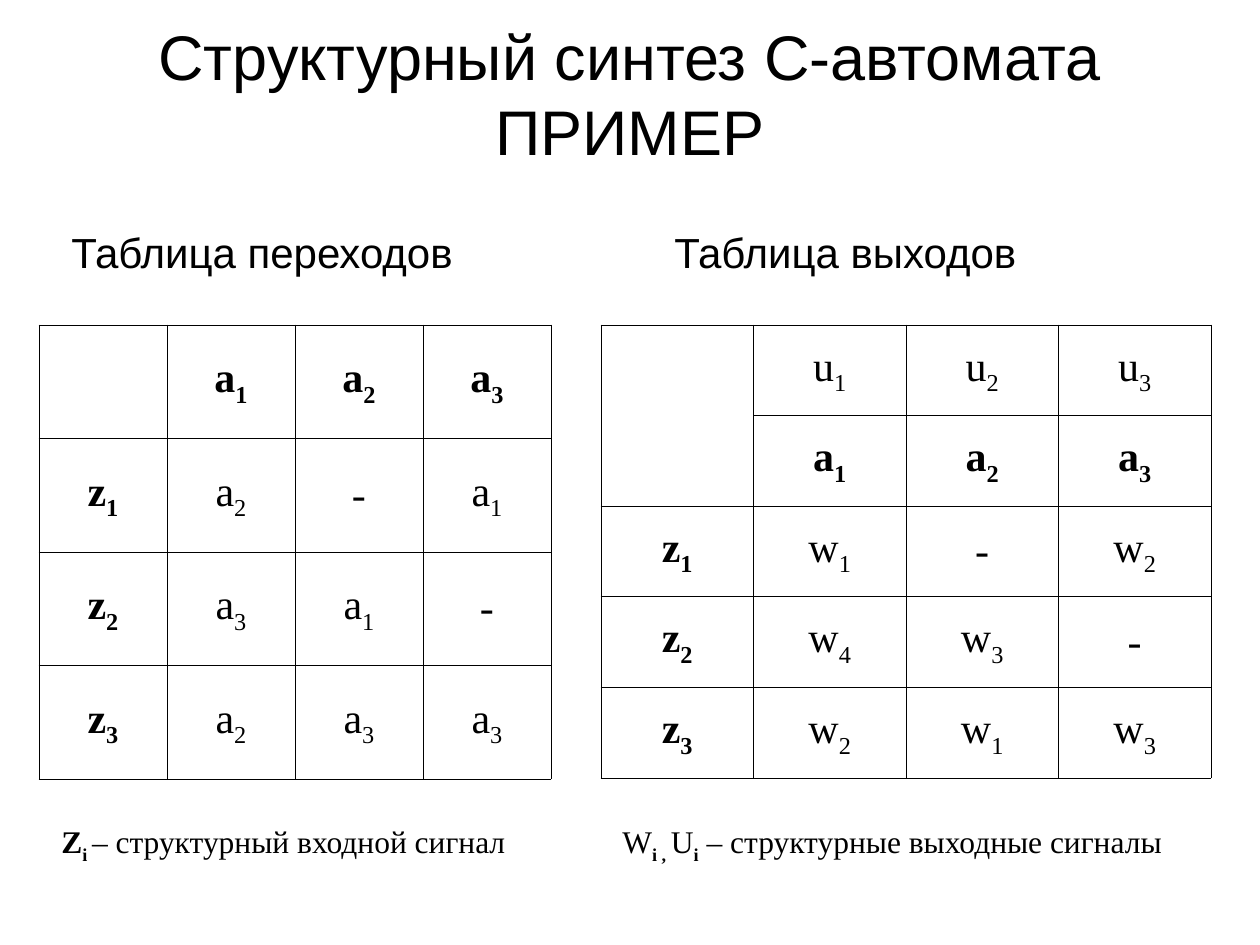
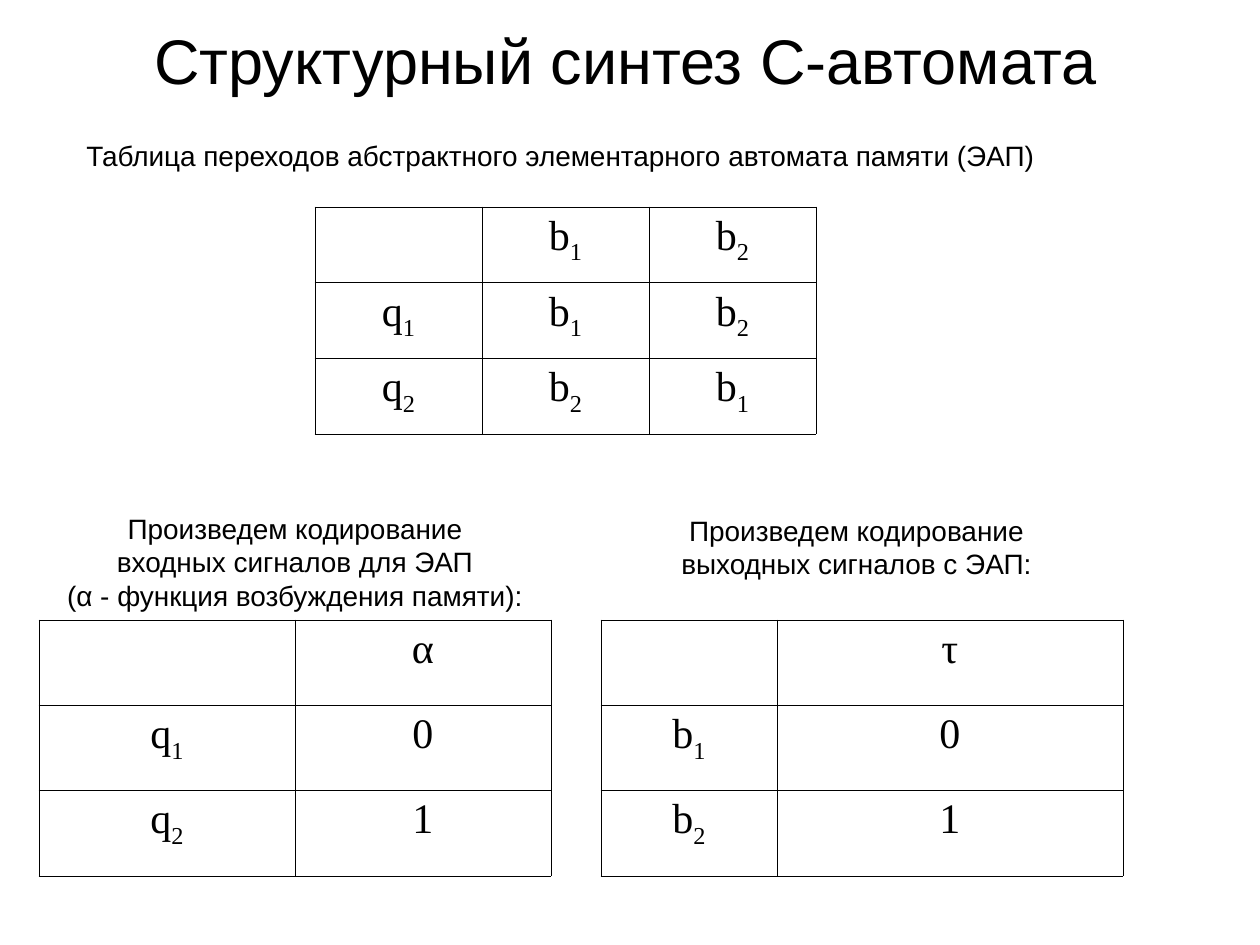
"""Build two slides on the structural synthesis of a C-automaton."""
from dataclasses import dataclass

from lxml.etree import SubElement
from pptx import Presentation
from pptx.dml.color import RGBColor
from pptx.enum.text import MSO_ANCHOR, MSO_AUTO_SIZE, PP_ALIGN
from pptx.oxml.ns import qn
from pptx.util import Emu, Pt

PX_PER_INCH = 126


@dataclass(frozen=True)
class Theme:
    """Colours, fonts and type sizes shared by the slides."""
    ink: str = "000000"
    sans: str = "Arial"
    serif: str = "Times New Roman"
    title: int = 36
    large: int = 24
    note: int = 18
    caption: int = 16
    border: float = 0.45


THEME = Theme()


def px(n):
    """Turn pixels into EMU."""
    return Emu(round(n * 914400 / PX_PER_INCH))


def place(sp, left, top, width, height):
    """Set the position and size of a shape."""
    sp.left, sp.top, sp.width, sp.height = map(px, (left, top, width, height))


def style_run(r, size, font, bold=False, sub=False):
    """Format one run, optionally as a subscript."""
    r.font.size, r.font.name, r.font.bold = Pt(size), font, bold
    r.font.color.rgb = RGBColor.from_string(THEME.ink)
    if sub:
        r.font._element.set("baseline", "-25000")


def style_text(tf, size, align):
    """Format every paragraph of a text frame in the sans font."""
    for p in tf.paragraphs:
        p.alignment = align
        for r in p.runs:
            style_run(r, size, THEME.sans)


def add_runs(p, parts, size):
    """Append (text, bold, subscript) parts in the serif font."""
    for text, bold, sub in parts:
        r = p.add_run()
        r.text = text
        style_run(r, size, THEME.serif, bold, sub)


def add_titled_slide(prs, text, box):
    """Add a title-only slide with its title set."""
    s = prs.slides.add_slide(prs.slide_layouts[5])
    place(s.shapes.title, *box)
    tf = s.shapes.title.text_frame
    tf.text = text
    tf.auto_size = MSO_AUTO_SIZE.NONE
    tf.vertical_anchor = MSO_ANCHOR.MIDDLE
    style_text(tf, THEME.title, PP_ALIGN.CENTER)
    return s


def add_box(s, box):
    """Add a wrapping text box and return its text frame."""
    tf = s.shapes.add_textbox(*map(px, box)).text_frame
    tf.word_wrap = True
    return tf


def add_caption(s, text, box, size=THEME.caption, align=PP_ALIGN.CENTER, tab=None):
    """Add a sans caption, with an optional tab stop."""
    tf = add_box(s, box)
    tf.text = text
    if tab:
        tabs = SubElement(tf.paragraphs[0]._p.get_or_add_pPr(), qn("a:tabLst"))
        SubElement(tabs, qn("a:tab"), pos=str(px(tab)), algn="l")
    style_text(tf, size, align)


def add_note(s, parts, box):
    """Add a serif legend line."""
    add_runs(add_box(s, box).paragraphs[0], parts, THEME.note)


def border_cell(cell):
    """Draw thin lines on all sides of a cell."""
    tcPr = cell._tc.get_or_add_tcPr()
    for side in ("lnL", "lnR", "lnT", "lnB"):
        ln = SubElement(tcPr, qn(f"a:{side}"), w=str(Pt(THEME.border)))
        fill = SubElement(ln, qn("a:solidFill"))
        SubElement(fill, qn("a:srgbClr"), val=THEME.ink)


def fill_cell(cell, text, bold, anchor):
    """Write a symbol whose characters after the first are its index."""
    border_cell(cell)
    cell.fill.background()
    cell.vertical_anchor = anchor
    cell.margin_left = cell.margin_right = px(10)
    cell.margin_top = cell.margin_bottom = px(6)
    p = cell.text_frame.paragraphs[0]
    p.alignment = PP_ALIGN.CENTER
    parts = [(text[:1], bold, False), (text[1:], bold, True)]
    add_runs(p, [part for part in parts if part[0]], THEME.large)


def add_grid(s, rows, left, top, widths, height, bold_row=None, anchor=MSO_ANCHOR.TOP):
    """Add a ruled table; bold_row also makes the first column bold."""
    box = map(px, (left, top, sum(widths), height))
    table = s.shapes.add_table(len(rows), len(widths), *box).table
    table.first_row = table.horz_banding = False
    for column, width in zip(table.columns, widths):
        column.width = px(width)
    for i, row in enumerate(rows):
        table.rows[i].height = px(height / len(rows))
        for j, text in enumerate(row):
            bold = bold_row is not None and (i == bold_row or j == 0)
            fill_cell(table.cell(i, j), text, bold, anchor)
    return table


def build_example(prs):
    """Build the slide with the transition and output tables."""
    s = add_titled_slide(prs, "Структурный синтез С-автомата\vПРИМЕР", (63, 38, 1134, 110))
    transitions = [["", "a1", "a2", "a3"],
                   ["z1", "a2", "-", "a1"],
                   ["z2", "a3", "a1", "-"],
                   ["z3", "a2", "a3", "a3"]]
    outputs = [["", "u1", "u2", "u3"],
               ["", "a1", "a2", "a3"],
               ["z1", "w1", "-", "w2"],
               ["z2", "w4", "w3", "-"],
               ["z3", "w2", "w1", "w3"]]
    add_grid(s, transitions, 39, 325, [128] * 4, 454, 0, MSO_ANCHOR.MIDDLE)
    table = add_grid(s, outputs, 601, 325, [152.5] * 4, 453, 1, MSO_ANCHOR.MIDDLE)
    table.cell(0, 0).merge(table.cell(1, 0))
    add_caption(s, "Таблица переходов\tТаблица выходов", (59, 220, 1134, 69),
                THEME.large, PP_ALIGN.LEFT, tab=603)
    add_note(s, [("Z", True, False), ("i ", True, True),
                 ("– структурный входной сигнал", False, False)], (49, 816, 493, 55))
    add_note(s, [("W", False, False), ("i , ", True, True), ("U", False, False),
                 ("i", True, True), (" – структурные выходные сигналы", False, False)],
             (610, 816, 601, 55))


def build_memory(prs):
    """Build the slide with the memory automaton and its coding."""
    s = add_titled_slide(prs, "Структурный синтез С-автомата", (59, 0, 1134, 118))
    add_caption(s, "Таблица переходов абстрактного элементарного автомата памяти (ЭАП)",
                (39, 132, 1043, 69))
    add_grid(s, [["", "b1", "b2"], ["q1", "b1", "b2"], ["q2", "b2", "b1"]],
             315, 207, [167] * 3, 227)
    add_grid(s, [["", "α"], ["q1", "0"], ["q2", "1"]], 39, 620, [256] * 2, 256)
    add_grid(s, [["", "τ"], ["b1", "0"], ["b2", "1"]], 601, 620, [176, 346], 256)
    add_caption(s, "Произведем кодирование\nвходных сигналов для ЭАП\n"
                   "(α - функция возбуждения памяти):", (39, 505, 512, 113))
    add_caption(s, "Произведем кодирование\nвыходных сигналов с ЭАП:", (581, 507, 551, 113))


def main():
    """Build and save the presentation."""
    prs = Presentation()
    prs.slide_width, prs.slide_height = px(1260), px(945)
    build_example(prs)
    build_memory(prs)
    prs.save("out.pptx")


if __name__ == "__main__":
    main()
